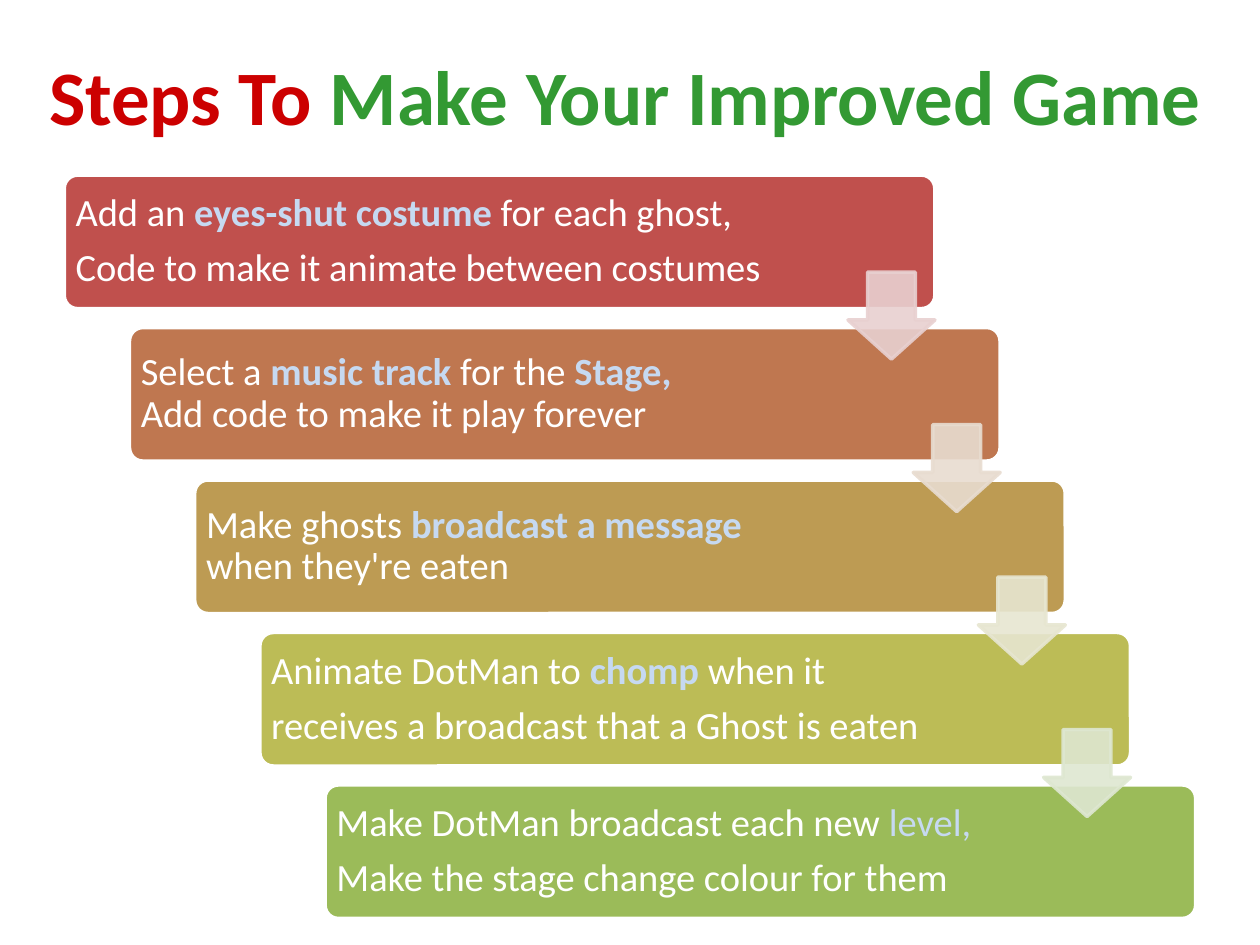
from lxml import etree
from pptx import Presentation
from pptx import util as u
from pptx.dml import color
from pptx.enum import shapes, text
from pptx.oxml import ns

COLOURS = {
    "white": "FFFFFF",
    "red": "CC0000",
    "green": "339933",
    "keyword": "C6D9F1",
}
BAR_FILLS = ["C0504D", "BF7750", "BD9B53", "BCBC56", "9BBB59"]
ARROW_FILLS = ["E8D0D0", "E8DCD0", "E7E6D1", "DEE7D1"]

# Each step holds paragraphs; each paragraph holds (words, colour, bold) runs
STEPS = [
    [[("Add an ", "white", False), ("eyes-shut costume", "keyword", True),
      (" for each ghost,", "white", False)],
     [("Code to make it animate between costumes", "white", False)]],
    [[("Select a ", "white", False), ("music track ", "keyword", True),
      ("for the ", "white", False), ("Stage,\n", "keyword", True),
      ("Add code to make it play forever", "white", False)]],
    [[("Make ghosts ", "white", False), ("broadcast a message\n", "keyword", True),
      ("when they're eaten", "white", False)]],
    [[("Animate DotMan to ", "white", False), ("chomp", "keyword", True),
      (" when it", "white", False)],
     [("receives a broadcast that a Ghost is eaten", "white", False)]],
    [[("Make DotMan broadcast each new ", "white", False),
      ("level,", "keyword", False)],
     [("Make the stage change colour for them", "white", False)]],
]

STEP_RIGHT = 2.07 / 4
STEP_DOWN = 1.21


def add_runs(para, runs, size):
    for words, colour, bold in runs:
        span = para.add_run()
        span.text = words.rstrip("\n")
        span.font.name = "Calibri"
        span.font.size = u.Pt(size)
        span.font.bold = bold
        span.font.color.rgb = color.RGBColor.from_string(COLOURS[colour])
        if words.endswith("\n"):
            para.add_line_break()


def add_block(kind, left, top, width, height, fill, line):
    block = page.shapes.add_shape(kind, u.Inches(left), u.Inches(top),
                                  u.Inches(width), u.Inches(height))
    block.shadow.inherit = False
    block.fill.solid()
    block.fill.fore_color.rgb = color.RGBColor.from_string(fill)
    block.line.color.rgb = color.RGBColor.from_string(line)
    block.line.width = u.Pt(2)
    return block


deck = Presentation()
deck.slide_width, deck.slide_height = u.Inches(10), u.Inches(7.5)
page = deck.slides.add_slide(deck.slide_layouts[6])

# Title
title = page.shapes.add_textbox(u.Inches(0.2), u.Inches(0.13),
                                u.Inches(9.53), u.Inches(1.25))
title.text_frame.word_wrap = True
title.text_frame.vertical_anchor = text.MSO_ANCHOR.MIDDLE
para = title.text_frame.paragraphs[0]
para.alignment = text.PP_ALIGN.CENTER
add_runs(para, [("Steps To ", "red", True),
                ("Make Your Improved Game", "green", True)], 44)

# Staircase of bars with their text
for i, (step, fill) in enumerate(zip(STEPS, BAR_FILLS)):
    left, top = 0.51 + i * STEP_RIGHT, 1.39 + i * STEP_DOWN
    bar = add_block(shapes.MSO_SHAPE.ROUNDED_RECTANGLE, left, top, 6.91, 1.06,
                    fill, COLOURS["white"])
    bar.adjustments[0] = 0.1

    box = page.shapes.add_textbox(u.Inches(left), u.Inches(top),
                                  u.Inches(5.71), u.Inches(1.06))
    frame = box.text_frame
    frame.word_wrap = True
    frame.vertical_anchor = text.MSO_ANCHOR.MIDDLE
    frame.margin_left = frame.margin_right = u.Inches(0.09)
    frame.margin_top = frame.margin_bottom = u.Inches(0.09)
    for n, runs in enumerate(step):
        para = frame.add_paragraph() if n else frame.paragraphs[0]
        para.line_spacing = 0.9
        para.space_after = u.Pt(7.7)
        add_runs(para, runs, 22)

# Arrows from each bar to the next, slightly transparent
for i, fill in enumerate(ARROW_FILLS):
    arrow = add_block(shapes.MSO_SHAPE.DOWN_ARROW, 6.73 + i * STEP_RIGHT,
                      2.16 + i * STEP_DOWN, 0.69, 0.69, fill, fill)
    arrow.adjustments[0] = 0.55
    arrow.adjustments[1] = 0.45
    for tint in arrow.element.spPr.iter(ns.qn("a:srgbClr")):
        etree.SubElement(tint, ns.qn("a:alpha"), val="90000")

deck.save("out.pptx")
